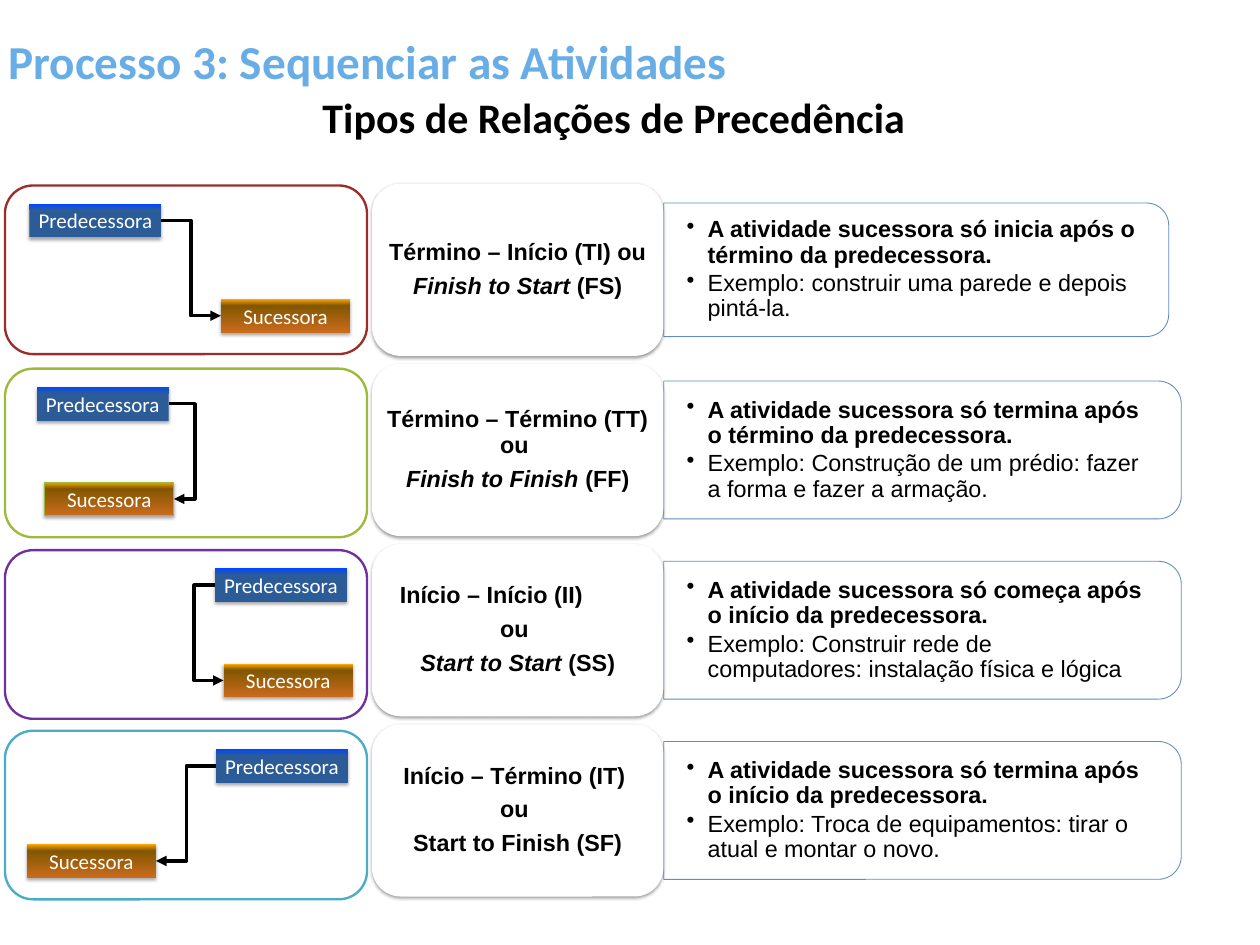
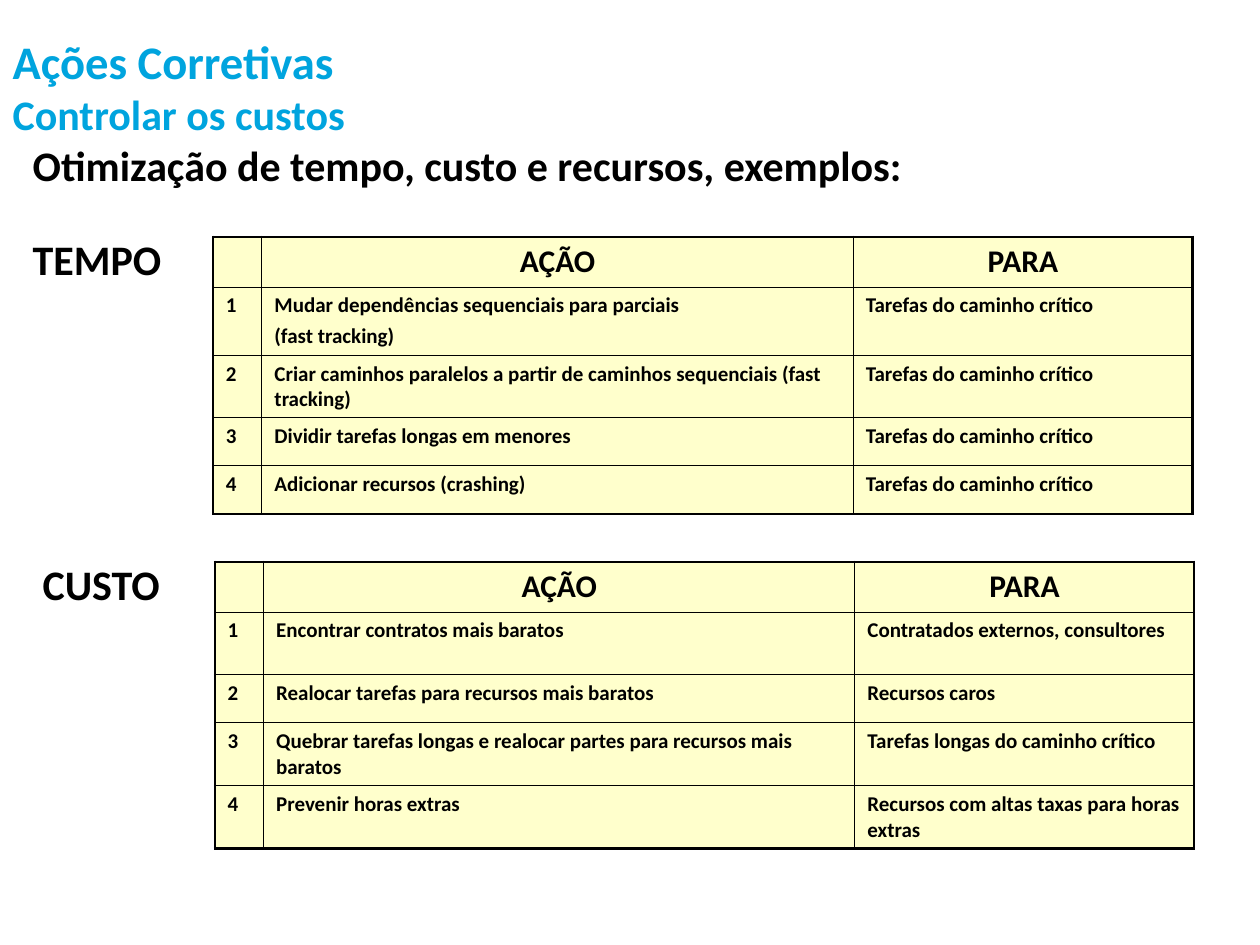
from copy import deepcopy

from pptx import Presentation
from pptx.dml.color import RGBColor
from pptx.enum.shapes import MSO_CONNECTOR, MSO_SHAPE
from pptx.enum.text import MSO_ANCHOR, PP_ALIGN
from pptx.oxml import parse_xml
from pptx.oxml.ns import nsdecls, qn
from pptx.util import Cm, Pt

COLORS = {
    "black": "000000", "white": "FFFFFF", "title": "69ADE7", "heading": "00A4DE",
    "note": "4F81BD", "cell": "FFFFCC",
    "red": "9B2D2A", "green": "9BBB3B", "purple": "7030A0", "teal": "4BACC6",
}
PREDECESSOR_STOPS = [(0, "2C5C98"), (0.8, "2C5C98"), (1, "0047FF")]
SUCCESSOR_STOPS = [(0, "CB6C1D"), (0.8, "825600"), (1, "FFA800")]

# Shared text formats
TITLE = {"name": "Calibri", "size": Pt(40.5), "bold": True, "color": "title"}
HEADING = {**TITLE, "size": Pt(40), "color": "heading"}
SUBTITLE = {**TITLE, "size": Pt(36), "color": "black"}
ACTIVITY = {"name": "Calibri", "size": Pt(18), "color": "white"}
BODY = {"name": "Arial", "size": Pt(20), "bold": True, "color": "black"}
HEADER_CELL = {**SUBTITLE, "size": Pt(27)}
BODY_CELL = {**SUBTITLE, "size": Pt(18)}
CENTER = {"alignment": PP_ALIGN.CENTER}
CARD_LINE = {**CENTER, "line_spacing": 0.9, "space_after": Pt(7.5)}
NOTE_LINE = {"line_spacing": 0.9, "space_after": Pt(3)}

# Diagram measures in cm
PANEL_WIDTH, PANEL_HEIGHT = 10.95, 5.1
CARD_LEFT, CARD_WIDTH, CARD_HEIGHT = 11.25, 8.81, 5.21
NOTE_LEFT = 20.07
FIRST_CENTER, ROW_PITCH = 8.16, 5.45
PREDECESSOR_WIDTH, SUCCESSOR_WIDTH, ACTIVITY_HEIGHT = 3.99, 3.91, 1.02

ITALIC = {"italic": True}
# In each code the first letter is the predecessor's end, the second the successor's
RELATIONS = [
    {"code": "FS", "color": "red", "top": 5.61, "predecessor": 0.89, "successor": 6.68,
     "turn": 5.77, "note_size": (15.27, 4.04),
     "name": [["Término – Início (TI) ou "], [("Finish to Start", ITALIC), " (FS)"]],
     "rule": "A atividade sucessora só inicia após o término da predecessora.",
     "example": "Exemplo: construir uma parede e depois pintá-la."},
    {"code": "FF", "color": "green", "top": 11.15, "predecessor": 1.11, "successor": 1.35,
     "turn": 5.89, "note_size": (15.65, 4.17), "outline": "green",
     "name": [["Término – Término (TT) ou "], [("Finish to Finish ", ITALIC), "(FF)"]],
     "rule": "A atividade sucessora só termina após o término da predecessora.",
     "example": "Exemplo: Construção de um prédio: fazer a forma e fazer a armação."},
    {"code": "SS", "color": "purple", "top": 16.64, "predecessor": 6.5, "successor": 6.76,
     "turn": 5.87, "note_size": (15.65, 4.17), "first_indent": 0.39,
     "name": [["Início – Início (II)"], ["ou "], [("Start to Start", ITALIC), " (SS)"]],
     "rule": "A atividade sucessora só começa após o início da predecessora.",
     "example": "Exemplo: Construir rede de computadores: instalação física e lógica"},
    {"code": "SF", "color": "teal", "top": 22.1, "predecessor": 6.53, "successor": 0.81,
     "turn": 5.64, "note_size": (15.65, 4.17),
     "name": [["Início – Término (IT) "], ["ou "], ["Start to Finish (SF)"]],
     "rule": "A atividade sucessora só termina após o início da predecessora.",
     "example": "Exemplo: Troca de equipamentos: tirar o atual e montar o novo."},
]

HEADERS = ["", "AÇÃO", "PARA"]
CRITICAL = "Tarefas do caminho crítico"
TIME_ACTIONS = [
    ("Mudar dependências sequenciais para parciais\n(fast tracking)", CRITICAL),
    ("Criar caminhos paralelos a partir de caminhos sequenciais (fast tracking)", CRITICAL),
    ("Dividir tarefas longas em menores", CRITICAL),
    ("Adicionar recursos (crashing)", CRITICAL),
]
COST_ACTIONS = [
    ("Encontrar contratos mais baratos", "Contratados externos, consultores"),
    ("Realocar tarefas para recursos mais baratos", "Recursos caros"),
    ("Quebrar tarefas longas e realocar partes para recursos mais baratos",
     "Tarefas longas do caminho crítico"),
    ("Prevenir horas extras", "Recursos com altas taxas para horas extras"),
]
COLUMN_WIDTHS = [1.47, 17.88, 10.26]


def rgb(name):
    return RGBColor.from_string(COLORS[name])


def apply(target, values):
    for key, value in values.items():
        if key == "color":
            target.color.rgb = rgb(value)
        else:
            setattr(target, key, value)


def margins(horizontal, vertical):
    return {"margin_left": Cm(horizontal), "margin_right": Cm(horizontal),
            "margin_top": Cm(vertical), "margin_bottom": Cm(vertical)}


def write(frame, lines, font, line_format):
    """Each line is a list of runs: a string, or a string with its own font values."""
    for index, runs in enumerate(lines):
        paragraph = frame.add_paragraph() if index else frame.paragraphs[0]
        apply(paragraph, line_format)
        for item in runs:
            words, changes = (item, {}) if isinstance(item, str) else item
            run = paragraph.add_run()
            run.text = words
            apply(run.font, {**font, **changes})


def add_text(slide, box, lines, font, line_format=None, frame_format=None):
    frame = slide.shapes.add_textbox(*map(Cm, box)).text_frame
    apply(frame, {"word_wrap": True, **(frame_format or {})})
    write(frame, lines, font, line_format or {})
    return frame


def add_box(slide, kind, box, outline=None, width=0.75):
    shape = slide.shapes.add_shape(kind, *map(Cm, box))
    shape.shadow.inherit = False
    shape.fill.solid()
    shape.fill.fore_color.rgb = rgb("white")
    if outline:
        apply(shape.line, {"color": outline, "width": Pt(width)})
    else:
        shape.line.fill.background()
    return shape


def add_shadow(shape, alpha, distance):
    effects = shape._element.spPr.find(qn("a:effectLst"))
    effects.append(parse_xml(
        f'<a:outerShdw {nsdecls("a")} blurRad="{Pt(3.1)}" dist="{Pt(distance)}" '
        f'dir="5400000" rotWithShape="0"><a:srgbClr val="{COLORS["black"]}">'
        f'<a:alpha val="{alpha * 1000}"/></a:srgbClr></a:outerShdw>'))


def add_activity(slide, label, left, top, width, stops, outline=None):
    shape = add_box(slide, MSO_SHAPE.RECTANGLE, (left, top, width, ACTIVITY_HEIGHT), outline)
    shape.fill.gradient()
    shape.fill.gradient_angle = 90
    stop_list = shape._element.spPr.find(".//" + qn("a:gsLst"))
    stop_list.append(deepcopy(stop_list[0]))
    for stop, (position, color) in zip(shape.fill.gradient_stops, stops):
        stop.position = position
        stop.color.rgb = RGBColor.from_string(color)
    add_shadow(shape, 35, 1.8)
    shape.text_frame.word_wrap = False
    write(shape.text_frame, [[label]], ACTIVITY, CENTER)


def add_arrow(slide, start, end, turn):
    """Elbow arrow whose vertical part stands at x = turn."""
    arrow = slide.shapes.add_connector(MSO_CONNECTOR.ELBOW, *map(Cm, start + end))
    apply(arrow.line, {"color": "black", "width": Pt(3)})
    properties = arrow._element.spPr
    ratio = (turn - start[0]) / (end[0] - start[0])
    properties.find(".//" + qn("a:avLst")).append(parse_xml(
        f'<a:gd {nsdecls("a")} name="adj1" fmla="val {round(ratio * 100000)}"/>'))
    properties.find(qn("a:ln")).append(parse_xml(
        f'<a:tailEnd {nsdecls("a")} type="triangle"/>'))
    properties.append(parse_xml(f'<a:effectLst {nsdecls("a")}/>'))


def add_diagram(slide, relation):
    top = relation["top"]
    add_box(slide, MSO_SHAPE.ROUNDED_RECTANGLE, (0.15, top, PANEL_WIDTH, PANEL_HEIGHT),
            relation["color"], 2)
    before, after = relation["predecessor"], relation["successor"]
    before_top, after_top = top + 0.55, top + 3.43
    leaves, enters = relation["code"]
    start_x = before + (PREDECESSOR_WIDTH if leaves == "F" else 0)
    end_x = after + (SUCCESSOR_WIDTH if enters == "F" else 0)
    middle = ACTIVITY_HEIGHT / 2
    add_arrow(slide, (start_x, before_top + middle), (end_x, after_top + middle),
              relation["turn"])
    add_activity(slide, "Predecessora", before, before_top, PREDECESSOR_WIDTH,
                 PREDECESSOR_STOPS)
    add_activity(slide, "Sucessora", after, after_top, SUCCESSOR_WIDTH,
                 SUCCESSOR_STOPS, relation.get("outline"))


def add_note(slide, relation, center):
    width, height = relation["note_size"]
    # The rounded top turns to the right, so the sides swap before rotation
    note = add_box(slide, MSO_SHAPE.ROUND_2_SAME_RECTANGLE,
                   (NOTE_LEFT + (width - height) / 2, center - width / 2, height, width),
                   "note")
    note.rotation = 90
    for color in note._element.spPr.iter(qn("a:srgbClr")):
        color.append(parse_xml(f'<a:alpha {nsdecls("a")} val="90000"/>'))
    text_height = height - 0.4
    lines = [[relation["rule"]], [(relation["example"], {"bold": False})]]
    frame = add_text(slide, (NOTE_LEFT, center - text_height / 2, width - 0.2, text_height),
                     lines, BODY, NOTE_LINE,
                     {**margins(0.69, 0.36), "vertical_anchor": MSO_ANCHOR.MIDDLE})
    for paragraph in frame.paragraphs:
        properties = paragraph._p.get_or_add_pPr()
        properties.set("marL", str(Cm(0.64)))
        properties.set("indent", str(Cm(-0.64)))
        properties.append(parse_xml(f'<a:buChar {nsdecls("a")} char="•"/>'))


def add_card(slide, relation, center):
    top = center - CARD_HEIGHT / 2
    card = add_box(slide, MSO_SHAPE.ROUNDED_RECTANGLE,
                   (CARD_LEFT, top, CARD_WIDTH, CARD_HEIGHT))
    add_shadow(card, 38, 1.6)
    frame = add_text(slide, (CARD_LEFT + 0.25, top + 0.25, CARD_WIDTH - 0.5, CARD_HEIGHT - 0.5),
                     relation["name"], BODY, CARD_LINE,
                     {**margins(0.2, 0.1), "vertical_anchor": MSO_ANCHOR.MIDDLE})
    if "first_indent" in relation:
        first = frame.paragraphs[0]
        first.alignment = PP_ALIGN.LEFT
        first._p.get_or_add_pPr().set("marL", str(Cm(relation["first_indent"])))


def set_borders(cell, heavy_sides):
    properties = cell._tc.get_or_add_tcPr()
    for side in "LRTB":
        width = Pt(2.25 if side in heavy_sides else 1)
        properties.append(parse_xml(
            f'<a:ln{side} {nsdecls("a")} w="{width}"><a:solidFill>'
            f'<a:srgbClr val="{COLORS["black"]}"/></a:solidFill></a:ln{side}>'))


def add_actions(slide, left, top, actions, heights):
    rows = [HEADERS] + [(str(number), *action) for number, action in enumerate(actions, 1)]
    table = slide.shapes.add_table(
        len(rows), len(HEADERS), Cm(left), Cm(top),
        Cm(sum(COLUMN_WIDTHS)), Cm(sum(heights))).table
    apply(table, {"first_row": False, "horz_banding": False})
    for column, width in zip(table.columns, COLUMN_WIDTHS):
        column.width = Cm(width)
    for r, (row, height) in enumerate(zip(rows, heights)):
        table.rows[r].height = Cm(height)
        for c, words in enumerate(row):
            cell = table.cell(r, c)
            heavy = {"T": r == 0, "B": r == len(rows) - 1,
                     "L": c == 0, "R": c == len(row) - 1}
            set_borders(cell, [side for side, outer in heavy.items() if outer])
            cell.fill.solid()
            cell.fill.fore_color.rgb = rgb("cell")
            apply(cell, margins(0.38, 0.18))
            if words:
                write(cell.text_frame, [[line] for line in words.split("\n")],
                      BODY_CELL if r else HEADER_CELL, {} if r else CENTER)
            for paragraph in cell.text_frame.paragraphs[1:]:
                paragraph.space_before = Pt(4)


def build_precedence(slide):
    for index, relation in enumerate(RELATIONS):
        center = FIRST_CENTER + index * ROW_PITCH
        add_note(slide, relation, center)
        add_card(slide, relation, center)
        add_diagram(slide, relation)
    add_text(slide, (1.42, 2.64, 34.29, 2.72), [["Tipos de Relações de Precedência"]],
             SUBTITLE, CENTER)
    add_text(slide, (0, 0.46, 31.34, 2.72), [["Processo 3: Sequenciar as Atividades"]],
             TITLE, frame_format={"vertical_anchor": MSO_ANCHOR.MIDDLE})


def build_corrective_actions(slide):
    add_text(slide, (0, 0.79, 27.15, 1.83),
             [["Ações Corretivas"], [("Controlar os custos", {"size": Pt(36)})]],
             HEADING, frame_format=margins(0.38, 0.2))
    labels = [
        ("Otimização de tempo, custo e recursos, exemplos:", 0.74, 4.09, 27.6),
        ("TEMPO", 0.74, 6.93, 4.45),
        ("CUSTO", 1.04, 16.76, 4.09),
    ]
    for words, left, top, width in labels:
        add_text(slide, (left, top, width, 1.8), [[words]], SUBTITLE,
                 frame_format={"word_wrap": False})
    add_actions(slide, 6.45, 7.16, TIME_ACTIONS, [1.52, 2.06, 1.9, 1.45, 1.45])
    add_actions(slide, 6.5, 16.99, COST_ACTIONS, [1.52, 1.9, 1.45, 1.9, 1.9])


def main():
    deck = Presentation()
    apply(deck, {"slide_width": Cm(38.1), "slide_height": Cm(28.58)})
    for build in (build_precedence, build_corrective_actions):
        build(deck.slides.add_slide(deck.slide_layouts[6]))
    deck.save("out.pptx")


if __name__ == "__main__":
    main()
